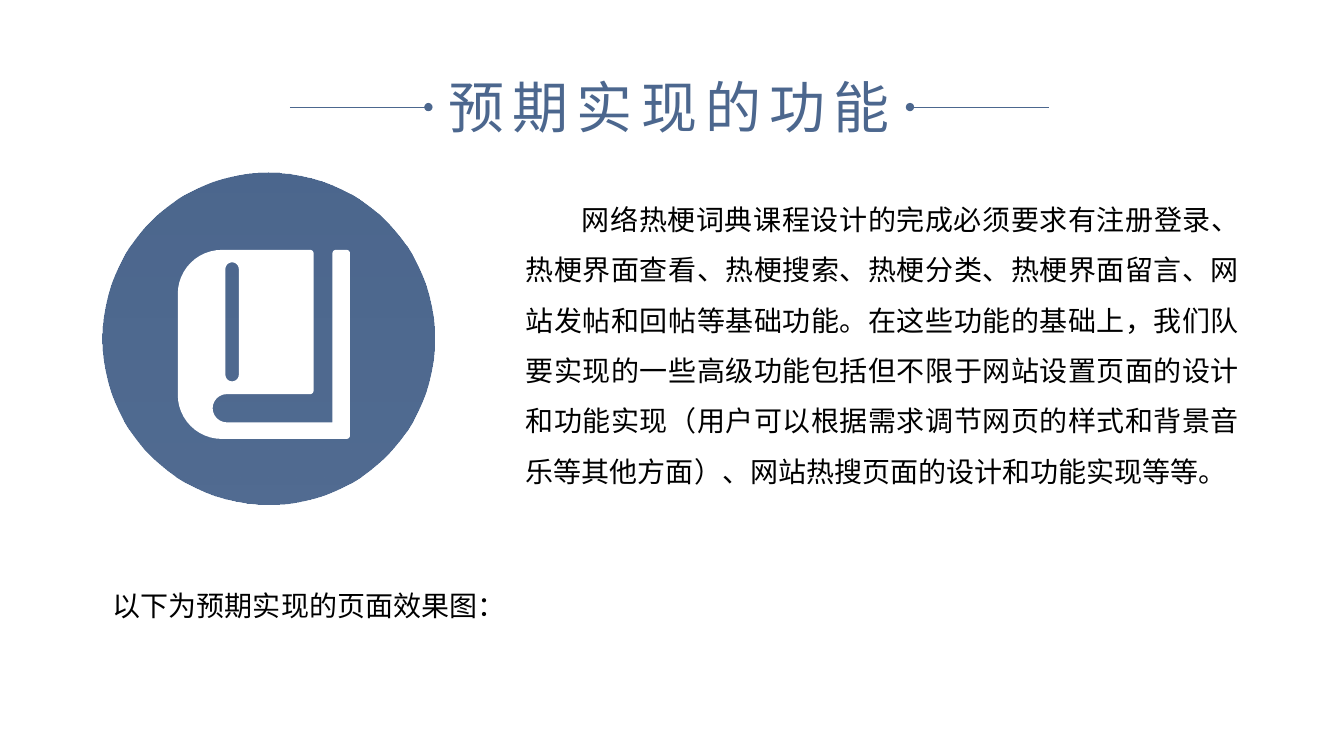
from math import cos, radians, sin

from lxml import etree
from pptx import Presentation
from pptx.dml.color import RGBColor
from pptx.enum.shapes import MSO_CONNECTOR, MSO_SHAPE
from pptx.enum.text import MSO_ANCHOR, PP_ALIGN
from pptx.oxml.ns import qn
from pptx.util import Pt

STRAIGHT = MSO_CONNECTOR.STRAIGHT
OVAL = MSO_SHAPE.OVAL
TOP, MIDDLE = MSO_ANCHOR.TOP, MSO_ANCHOR.MIDDLE
LEFT, CENTER, JUSTIFY = PP_ALIGN.LEFT, PP_ALIGN.CENTER, PP_ALIGN.JUSTIFY

FONT = "Noto Sans CJK SC"
COLORS = {"blue": "4C678E", "black": "000000", "white": "FFFFFF"}
TITLE_ONLY = 5

TITLE = "预期实现的功能"
BODY = (
    "网络热梗词典课程设计的完成必须要求有注册登录、热梗界面查看、热梗搜索、"
    "热梗分类、热梗界面留言、网站发帖和回帖等基础功能。在这些功能的基础上，"
    "我们队要实现的一些高级功能包括但不限于网站设置页面的设计和功能实现"
    "（用户可以根据需求调节网页的样式和背景音乐等其他方面）、"
    "网站热搜页面的设计和功能实现等等。"
)
CAPTION = "以下为预期实现的页面效果图："

# Rounded turns of the book icon: centre x, centre y, radius, start and end angle
BOOK_OUTLINE = [
    (240, 181, 2.5, 270, 180),
    (237.5, 301.7, 0, 0, 0),
    (162, 291.6, 10.1, 90, 270),
    (221.5, 279, 2.5, 90, 0),
    (221.5, 181, 2.5, 0, -90),
    (158.5, 210, 31.5, 270, 180),
    (158.5, 282, 31.5, 180, 90),
    (247.5, 311, 2.5, 90, 0),
    (247.5, 181, 2.5, 0, -90),
]
SPINE_SLOT = [(165.8, 192.2, 4.8, 180, 360), (165.8, 267.6, 4.8, 0, 180)]


def color(name):
    return RGBColor.from_string(COLORS[name])


def write_text(box, text, size, ink, align=LEFT, anchor=TOP, wrap=True):
    """Fill a box with one paragraph and return the paragraph and its run."""
    frame = box.text_frame
    frame.word_wrap = wrap
    frame.vertical_anchor = anchor
    para = frame.paragraphs[0]
    para.alignment = align
    span = para.add_run()
    span.text = text
    span.font.size = Pt(size)
    span.font.name = FONT
    span.font.color.rgb = color(ink)
    etree.SubElement(span.font._element, qn("a:ea"), typeface=FONT)
    return para, span


def add_title(page):
    box = page.shapes.title
    box.left, box.top, box.width, box.height = Pt(309), Pt(48), Pt(338), Pt(55.5)
    para, span = write_text(box, TITLE, 40, "blue", CENTER, MIDDLE, wrap=False)
    span.font._element.set("spc", "600")


def add_text(page, left, top, width, height, text, align=LEFT):
    box = page.shapes.add_textbox(Pt(left), Pt(top), Pt(width), Pt(height))
    return write_text(box, text, 20, "black", align)[0]


def add_dotted_line(page, start, end, y):
    """Draw a thin horizontal line with a dot at its end."""
    line = page.shapes.add_connector(STRAIGHT, Pt(start), Pt(y), Pt(end), Pt(y))
    line.line.color.rgb = color("blue")
    line.line.width = Pt(0.5)
    etree.SubElement(line.line._get_or_add_ln(), qn("a:tailEnd"), type="oval")
    etree.SubElement(line._element.spPr, qn("a:effectLst"))


def add_disc(page, left, top, size):
    disc = page.shapes.add_shape(OVAL, Pt(left), Pt(top), Pt(size), Pt(size))
    disc.shadow.inherit = False
    disc.line.fill.background()
    disc.fill.gradient()
    disc.fill.gradient_angle = 270
    for stop in disc.fill.gradient_stops:
        stop.color.rgb = color("blue")
    last_color = disc.fill._xPr.findall(".//" + qn("a:srgbClr"))[-1]
    etree.SubElement(last_color, qn("a:alpha"), val="97000")


def contour(turns, steps=12):
    """Return the points of an outline that joins arcs with straight lines."""
    points = []
    for x, y, radius, start, end in turns:
        for step in range(steps + 1 if radius else 1):
            angle = radians(start + (end - start) * step / steps)
            points.append((Pt(x + radius * cos(angle)), Pt(y + radius * sin(angle))))
    return points


def add_book(page):
    outline, slot = contour(BOOK_OUTLINE), contour(SPINE_SLOT)
    builder = page.shapes.build_freeform(*outline[0])
    builder.add_line_segments(outline[1:])
    builder.move_to(*slot[0])
    builder.add_line_segments(slot[1:])
    book = builder.convert_to_shape()
    book.shadow.inherit = False
    book.fill.solid()
    book.fill.fore_color.rgb = color("white")
    book.line.fill.background()


def main():
    deck = Presentation()
    deck.slide_width, deck.slide_height = Pt(960), Pt(540)
    page = deck.slides.add_slide(deck.slide_layouts[TITLE_ONLY])

    add_title(page)
    add_dotted_line(page, 207, 306, 76.5)
    add_dotted_line(page, 749, 650, 76.5)

    body = add_text(page, 368.5, 129, 524, 225.5, BODY, JUSTIFY)
    body.line_spacing = 1.5
    body.first_line_indent = Pt(40) if hasattr(body, "first_line_indent") else None
    body._p.get_or_add_pPr().set("indent", str(Pt(40)))
    add_text(page, 73.5, 417, 307.5, 31.5, CAPTION)

    add_disc(page, 73.5, 123, 237)
    add_book(page)

    deck.save("out.pptx")


if __name__ == "__main__":
    main()
